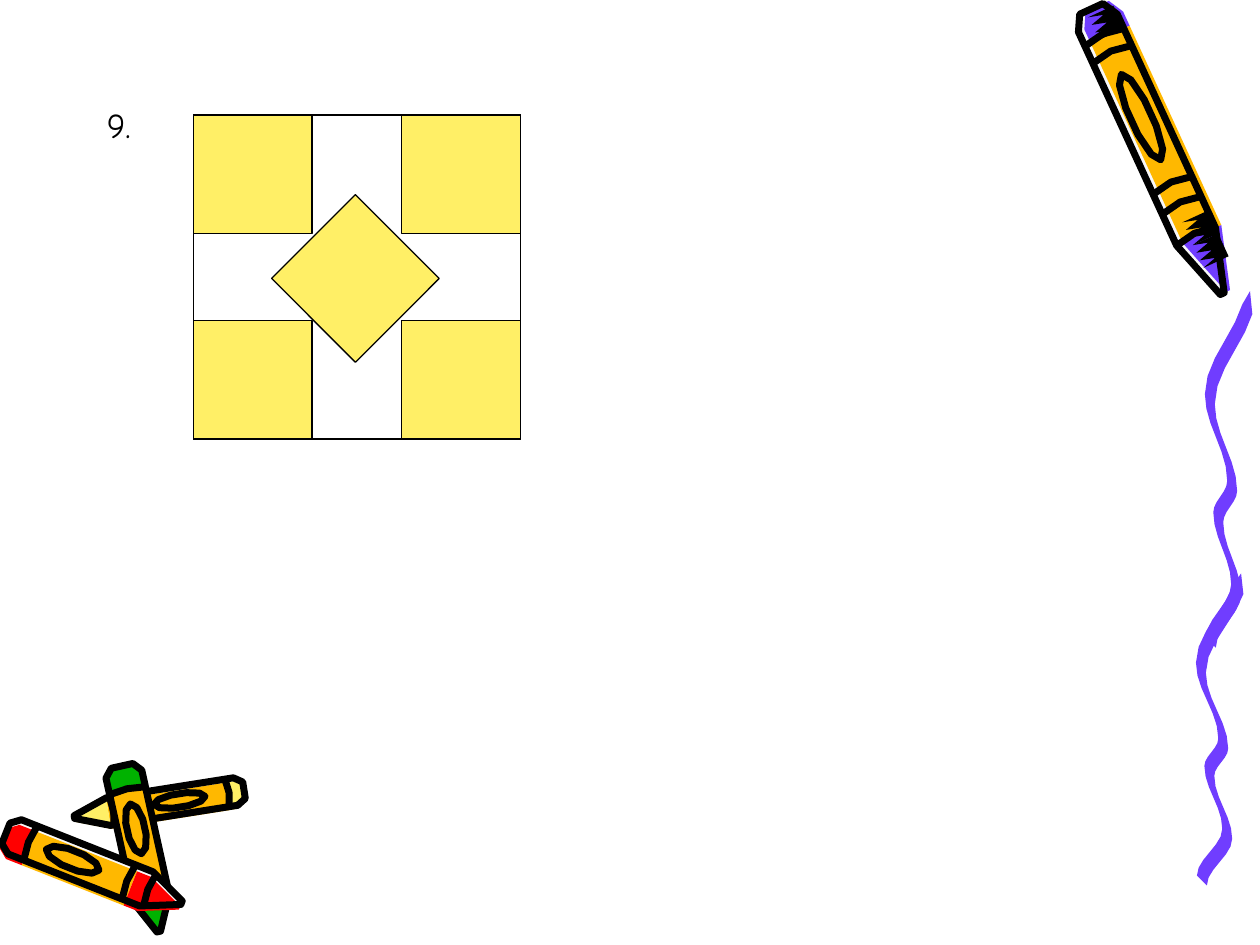
"""Build a worksheet slide with a square pattern, crayons and a wavy trail."""
import math
from dataclasses import dataclass

from lxml import etree
from pptx import Presentation
from pptx import util as u
from pptx.dml.color import RGBColor
from pptx.enum import shapes, text
from pptx.oxml.ns import qn


@dataclass(frozen=True)
class Theme:
    """Hold the colours, font and line widths."""
    font: str = "Comic Neue"
    size: int = 20
    thin: float = 0.75
    thick: float = 4
    black: str = "000000"
    white: str = "F8F8F8"
    yellow: str = "FFEF66"
    orange: str = "FFB800"
    purple: str = "703DFF"
    red: str = "FF0000"
    green: str = "00B200"


@dataclass(frozen=True)
class Crayon:
    """Describe a crayon from tail to tip; along runs 0 to 1, across -1 to 1."""
    wax: str
    tail: tuple
    tip: tuple
    half_width: float
    bands: tuple
    neck: float = 0.8
    shift: float = 0
    shades: tuple = ()
    shoulder: float = 0.8

    def place(self, points, shift=0):
        """Turn (along, across) pairs into centimetres on the page."""
        run, rise = self.tip[0] - self.tail[0], self.tip[1] - self.tail[1]
        side = self.half_width / math.hypot(run, rise)
        return [(self.tail[0] + along * run + (across + shift) * side * rise,
                 self.tail[1] + along * rise - (across + shift) * side * run)
                for along, across in points]

    def end(self):
        """Give the blunt tail."""
        return [(0.05, -1), (0, -0.6), (0, 0.6), (0.05, 1)]

    def cone(self):
        """Give the pointed tip."""
        return [(self.shoulder, 1), (1, 0.1), (1, -0.1), (self.shoulder, -1)]

    def label(self, centre=0.38, length=0.15, breadth=0.5, corners=10):
        """Give the oval label on the case."""
        angles = [math.tau * step / corners for step in range(corners)]
        return [(centre + length * math.cos(angle), breadth * math.sin(angle))
                for angle in angles]

    def band(self, along, bulge=0.012):
        """Give a stripe that bends towards the tail."""
        return [(along, -1), (along - bulge, 0), (along, 1)]

    def shade(self, start, length=0.08, teeth=3):
        """Give a jagged shadow on the right-hand side."""
        notches = [(start + length * step / (2 * teeth), (-0.3, 0.4)[step % 2])
                   for step in range(2 * teeth + 1)]
        return [(start, 1), *notches, (start + length, 1)]


CRAYON_PILE = [
    Crayon("yellow", (4.92, 15.93), (1.5, 16.47), 0.28, (0.1, 0.78), shift=0.25),
    Crayon("green", (2.46, 15.44), (3.2, 18.78), 0.37, (0.15,)),
    Crayon("red", (0.12, 16.8), (3.66, 18.2), 0.37, (0.14, 0.7, 0.82),
           neck=0.72, shift=-0.3),
]
BIG_CRAYON = Crayon("purple", (22, 0.18), (24.64, 5.92), 0.43,
                    (0.1, 0.16, 0.62, 0.69, 0.8), shift=0.3, shades=(0.02, 0.74, 0.82))

TRAIL_TURNS = [(25.02, 11.56), (24.21, 13.46), (24.66, 14.99),
               (24.38, 15.54), (24.74, 16.81), (24.23, 17.75)]


def ribbon(turns, half_width=0.1, steps=6):
    """Ease between turning points and give the ribbon's two edges."""
    middle = [turns[0]]
    for (x0, y0), (x1, y1) in zip(turns, turns[1:]):
        for step in range(1, steps + 1):
            part = step / steps
            ease = (1 - math.cos(math.pi * part)) / 2
            middle.append((x0 + (x1 - x0) * ease, y0 + (y1 - y0) * part))
    start, *rest = middle
    left = [(x - half_width, y - half_width) for x, y in rest]
    right = [(x + half_width, y + half_width) for x, y in rest]
    return [start, *left, *reversed(right)]


class Sketch:
    """Draw styled elements on the current slide."""

    def __init__(self, deck, theme):
        """Open a content page and drop its unused title."""
        self.theme = theme
        self.page = deck.slides.add_slide(deck.slide_layouts[1])
        title = self.page.shapes.title.element
        title.getparent().remove(title)

    def colour(self, name):
        """Look up a theme colour."""
        return RGBColor.from_string(getattr(self.theme, name))

    def paint(self, shape, fill=None, line=None, weight=None):
        """Set fill and outline, and clear the shadow."""
        shape.shadow.inherit = False
        for part, name in ((shape.fill, fill), (shape.line.fill, line)):
            if name:
                part.solid()
                part.fore_color.rgb = self.colour(name)
            else:
                part.background()
        if line:
            shape.line.width = u.Pt(weight or self.theme.thin)

    def outline(self, group, points, fill=None, line=None, close=True):
        """Draw a path given in centimetres."""
        start, *rest = [(x * 1000, y * 1000) for x, y in points]
        builder = group.shapes.build_freeform(*start, scale=u.Cm(0.001))
        builder.add_line_segments(rest, close=close)
        self.paint(builder.convert_to_shape(), fill, line, self.theme.thick)

    def crayon(self, crayon):
        """Draw a crayon: highlight, colours, then ink."""
        group = self.page.shapes.add_group_shape()
        first, neck = crayon.bands[0], crayon.neck
        silhouette = crayon.end() + crayon.cone()
        self.outline(group, crayon.place(silhouette), "white")
        coloured = [
            (crayon.wax, [*crayon.end(), (first, 1), (first, -1)]),
            ("orange", [(first, -1), (first, 1), (neck, 1), (neck, -1)]),
            (crayon.wax, [(neck, -1), (neck, 1), *crayon.cone()]),
        ]
        for fill, points in coloured:
            self.outline(group, crayon.place(points, crayon.shift), fill)
        for start in crayon.shades:
            self.outline(group, crayon.place(crayon.shade(start)), "black")
        for points in (silhouette, crayon.label()):
            self.outline(group, crayon.place(points), line="black")
        for along in crayon.bands:
            self.outline(group, crayon.place(crayon.band(along)), line="black", close=False)

    def trail(self, turns, right=0.18, top=5.87, stretch=1.145):
        """Draw a wavy stroke and a taller one above it."""
        group = self.page.shapes.add_group_shape()
        base = turns[0][1]
        upper = [(x + right, top + (y - base) * stretch) for x, y in turns]
        for stroke in (turns, upper):
            self.outline(group, ribbon(stroke), "purple")

    def rectangle(self, left, top, width, height, fill=None, turn=0):
        """Draw a thinly outlined rectangle."""
        place = [u.Cm(value) for value in (left, top, width, height)]
        box = self.page.shapes.add_shape(shapes.MSO_SHAPE.RECTANGLE, *place)
        box.rotation = turn
        self.paint(box, fill, "black")

    def body(self, words, left, top, width, height, inset):
        """Fill and place the body placeholder."""
        box = self.page.placeholders[1]
        place = {"left": left, "top": top, "width": width, "height": height}
        for name, value in place.items():
            setattr(box, name, u.Cm(value))
        layout = {"margin_top": u.Cm(inset), "word_wrap": True,
                  "auto_size": text.MSO_AUTO_SIZE.NONE,
                  "vertical_anchor": text.MSO_ANCHOR.TOP}
        for name, value in layout.items():
            setattr(box.text_frame, name, value)
        para = box.text_frame.paragraphs[0]
        para.space_before = u.Pt(0)
        properties = para._p.get_or_add_pPr()
        for name, value in {"marL": 1.7, "indent": -1.7}.items():
            properties.set(name, str(u.Cm(value)))
        etree.SubElement(properties, qn("a:buNone"))
        span = para.add_run()
        span.text = words
        look = {"name": self.theme.font, "size": u.Pt(self.theme.size)}
        for name, value in look.items():
            setattr(span.font, name, value)
        span.font.color.rgb = self.colour("black")


def main():
    """Build and save the slide."""
    deck = Presentation()
    deck.slide_width, deck.slide_height = u.Cm(25.4), u.Cm(19.05)
    sketch = Sketch(deck, Theme())
    for crayon in CRAYON_PILE:
        sketch.crayon(crayon)
    sketch.trail(TRAIL_TURNS)
    sketch.crayon(BIG_CRAYON)
    sketch.body("9.", 1.9, 0.91, 21.39, 14.33, inset=1.17)

    side, left, right, top, bottom = 2.39, 3.9, 8.1, 2.32, 6.46
    for column in (left, right):
        for row in (bottom, top):
            sketch.rectangle(column, row, side, side, "yellow")
    sketch.rectangle(5.97, 4.42, side, side, "yellow", turn=45)
    sketch.rectangle(left, top, right + side - left, bottom + side - top)
    deck.save("out.pptx")


if __name__ == "__main__":
    main()
